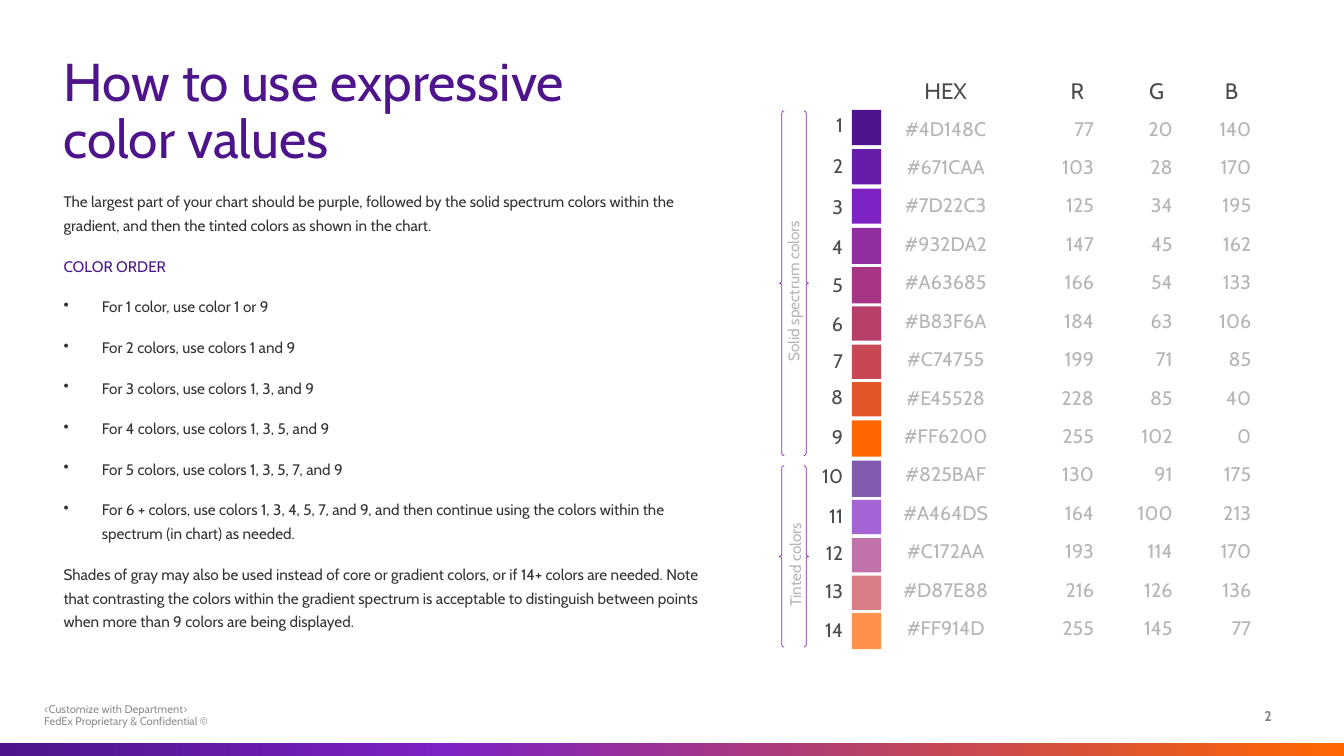
from copy import deepcopy
from dataclasses import dataclass

from pptx import Presentation
from pptx.dml.color import RGBColor
from pptx.enum.shapes import MSO_SHAPE as Preset
from pptx.enum.text import MSO_ANCHOR as Anchor, PP_ALIGN as Align
from pptx.oxml.ns import qn
from pptx.oxml.xmlchemy import OxmlElement
from pptx.util import Inches, Pt

FONT = "Cabin"
PURPLE, VIOLET, ORANGE = "4D148C", "7D22C3", "FF6600"
INK, SLATE, SILVER = "333333", "4A4D4F", "B5B5B5"


@dataclass(frozen=True)
class Swatch:
    top: float
    height: float
    fill: str
    hex_label: str
    rgb: tuple[int, int, int]
    label_gap: float


@dataclass(frozen=True)
class Passage:
    text: str
    color: str = INK
    size: float = 10.9
    spacing: float = 1.3
    bulleted: bool = False


@dataclass(frozen=True)
class Bracket:
    caption: str
    top: float
    height: float
    caption_x: float
    caption_y: float
    caption_width: float


SWATCHES = [
    Swatch(1.09, 0.35, PURPLE, "#4D148C", (77, 20, 140), 0),
    Swatch(1.48, 0.35, "671CAA", "#671CAA", (103, 28, 170), 12.4),
    Swatch(1.87, 0.35, VIOLET, "#7D22C3", (125, 34, 195), 12.4),
    Swatch(2.26, 0.36, "932DA2", "#932DA2", (147, 45, 162), 11.8),
    Swatch(2.65, 0.36, "A63685", "#A63685", (166, 54, 133), 10.7),
    Swatch(3.04, 0.34, "B83F6A", "#B83F6A", (184, 63, 106), 10.7),
    Swatch(3.42, 0.34, "C74755", "#C74755", (199, 71, 85), 9.5),
    Swatch(3.79, 0.34, "E45528", "#E45528", (228, 85, 40), 9.5),
    Swatch(4.17, 0.36, ORANGE, "#FF6200", (255, 102, 0), 11.8),
    Swatch(4.57, 0.36, "825BAF", "#825BAF", (130, 91, 175), 10.7),
    Swatch(4.96, 0.34, "A464D5", "#A464DS", (164, 100, 213), 11.8),
    Swatch(5.34, 0.34, "C172AA", "#C172AA", (193, 114, 170), 9.5),
    Swatch(5.71, 0.34, "D87E88", "#D87E88", (216, 126, 136), 10.7),
    Swatch(6.08, 0.36, "FF914D", "#FF914D", (255, 145, 77), 10.7),
]
PASSAGES = [
    Passage("How to use expressive\ncolor values", PURPLE, 38, 0.9),
    Passage("The largest part of your chart should be purple, followed by the solid spectrum "
            "colors within the gradient, and then the tinted colors as shown in the chart."),
    Passage("COLOR ORDER", PURPLE),
    Passage("For 1 color, use color 1 or 9", bulleted=True),
    Passage("For 2 colors, use colors 1 and 9", bulleted=True),
    Passage("For 3 colors, use colors 1, 3, and 9", bulleted=True),
    Passage("For 4 colors, use colors 1, 3, 5, and 9", bulleted=True),
    Passage("For 5 colors, use colors 1, 3, 5, 7, and 9", bulleted=True),
    Passage("For 6 + colors, use colors 1, 3, 4, 5, 7, and 9, and then continue using the "
            "colors within the spectrum (in chart) as needed.", bulleted=True),
    Passage("Shades of gray may also be used instead of core or gradient colors, or if 14+ "
            "colors are needed. Note that contrasting the colors within the gradient spectrum "
            "is acceptable to distinguish between points when more than 9 colors are being "
            "displayed."),
]
BRACKETS = [
    Bracket("Solid spectrum colors", 1.1, 3.42, 6.98, 2.65, 1.78),
    Bracket("Tinted colors", 4.62, 1.8, 7.24, 5.32, 1.3),
]


def rgb(value: str) -> RGBColor:
    return RGBColor.from_string(value)


def style(paragraph, size: float, color: str, align=Align.LEFT, bold: bool = False) -> None:
    paragraph.alignment = align
    paragraph.font.name = FONT
    paragraph.font.size = Pt(size)
    paragraph.font.bold = bold
    paragraph.font.color.rgb = rgb(color)


def add_text(slide, left: float, top: float, width: float, height: float, text: str = ""):
    box = slide.shapes.add_textbox(Inches(left), Inches(top), Inches(width), Inches(height))
    box.text_frame.word_wrap = True
    box.text_frame.paragraphs[0].text = text
    return box


def add_preset(slide, preset, left: float, top: float, width: float, height: float):
    shape = slide.shapes.add_shape(
        preset, Inches(left), Inches(top), Inches(width), Inches(height))
    shape.shadow.inherit = False
    shape.line.fill.background()
    return shape


def paragraph_at(frame, index: int):
    return frame.add_paragraph() if index else frame.paragraphs[0]


def add_bullet(paragraph) -> None:
    properties = paragraph._p.get_or_add_pPr()
    properties.set("marL", str(Inches(0.38)))
    properties.set("indent", str(Inches(-0.38)))
    bullet = OxmlElement("a:buChar")
    bullet.set("char", "•")
    properties.append(bullet)


def add_tabs(paragraph, positions: list[float]) -> None:
    tabs = OxmlElement("a:tabLst")
    for position in positions:
        tab = OxmlElement("a:tab")
        tab.set("pos", str(Inches(position)))
        tab.set("algn", "l")
        tabs.append(tab)
    paragraph._p.get_or_add_pPr().append(tabs)


def draw_guidance(slide) -> None:
    frame = add_text(slide, 0.63, 0.55, 6.32, 6.02).text_frame
    frame.margin_left = frame.margin_right = frame.margin_top = frame.margin_bottom = 0
    for index, passage in enumerate(PASSAGES):
        paragraph = paragraph_at(frame, index)
        paragraph.text = passage.text
        paragraph.line_spacing = passage.spacing
        paragraph.space_after = Pt(12)
        if passage.bulleted:
            add_bullet(paragraph)
        style(paragraph, passage.size, passage.color)


def draw_values(slide) -> None:
    header = add_text(slide, 9.07, 0.72, 3.4, 0.37, "HEX\tR\tG\tB").text_frame.paragraphs[0]
    add_tabs(header, [1.45, 2.23, 2.98])
    style(header, 16, SLATE)

    values = slide.shapes.add_table(
        len(SWATCHES), 4, Inches(8.59), Inches(1.09), Inches(3.92), Inches(5.34)).table
    values.first_row = values.horz_banding = False
    for column, width in zip(values.columns, [1.58, 0.78, 0.78, 0.78]):
        column.width = Inches(width)
    for row, swatch in enumerate(SWATCHES):
        for column, value in enumerate([swatch.hex_label, *swatch.rgb]):
            cell = values.cell(row, column)
            cell.fill.background()
            cell.vertical_anchor = Anchor.MIDDLE
            paragraph = cell.text_frame.paragraphs[0]
            paragraph.text = str(value)
            paragraph.space_after = Pt(6)
            style(paragraph, 14, SILVER, Align.RIGHT if column else Align.CENTER)


def draw_swatches(slide) -> None:
    ranks = add_text(slide, 7.92, 1.07, 0.54, 5.59).text_frame
    for index, swatch in enumerate(SWATCHES):
        rank = paragraph_at(ranks, index)
        rank.text = str(index + 1)
        if index:
            rank.space_before = Pt(swatch.label_gap)
        style(rank, 14, SLATE, Align.RIGHT)
        tile = add_preset(slide, Preset.RECTANGLE, 8.45, swatch.top, 0.29, swatch.height)
        tile.fill.solid()
        tile.fill.fore_color.rgb = rgb(swatch.fill)


def draw_bracket(slide, bracket: Bracket) -> None:
    caption = add_text(slide, bracket.caption_x, bracket.caption_y,
                       bracket.caption_width, 0.29, bracket.caption)
    caption.rotation = 270
    caption.text_frame.paragraphs[0].space_after = Pt(6)
    style(caption.text_frame.paragraphs[0], 11, SILVER)
    brace = add_preset(slide, Preset.DOUBLE_BRACE, 7.73, bracket.top, 0.29, bracket.height)
    brace.fill.background()
    brace.line.color.rgb = rgb(VIOLET)
    brace.line.width = Pt(0.5)


def draw_footer(slide) -> None:
    page = add_text(slide, 10.92, 6.97, 1.79, 0.24, "2").text_frame.paragraphs[0]
    style(page, 10, "808080", Align.RIGHT, bold=True)
    notice = add_text(slide, 0.34, 6.93, 3.88, 0.3,
                      "<Customize with Department>\nFedEx Proprietary & Confidential ©")
    notice.text_frame.paragraphs[0].line_spacing = 0.9
    style(notice.text_frame.paragraphs[0], 8, "8E8E8E")

    band = add_preset(slide, Preset.RECTANGLE, 0, 7.37, 13.33, 0.13)
    band.fill.gradient()
    band.fill.gradient_angle = 0
    stops = band._element.spPr.find(".//" + qn("a:gsLst"))
    stops.append(deepcopy(stops[-1]))
    for stop, (position, color) in zip(
            band.fill.gradient_stops, [(0, PURPLE), (0.33, VIOLET), (1, ORANGE)]):
        stop.position = position
        stop.color.rgb = rgb(color)


def main() -> None:
    deck = Presentation()
    deck.slide_width, deck.slide_height = Inches(13.33), Inches(7.5)
    slide = deck.slides.add_slide(deck.slide_layouts[6])
    draw_guidance(slide)
    draw_values(slide)
    draw_swatches(slide)
    for bracket in BRACKETS:
        draw_bracket(slide, bracket)
    draw_footer(slide)
    deck.save("out.pptx")


if __name__ == "__main__":
    main()
